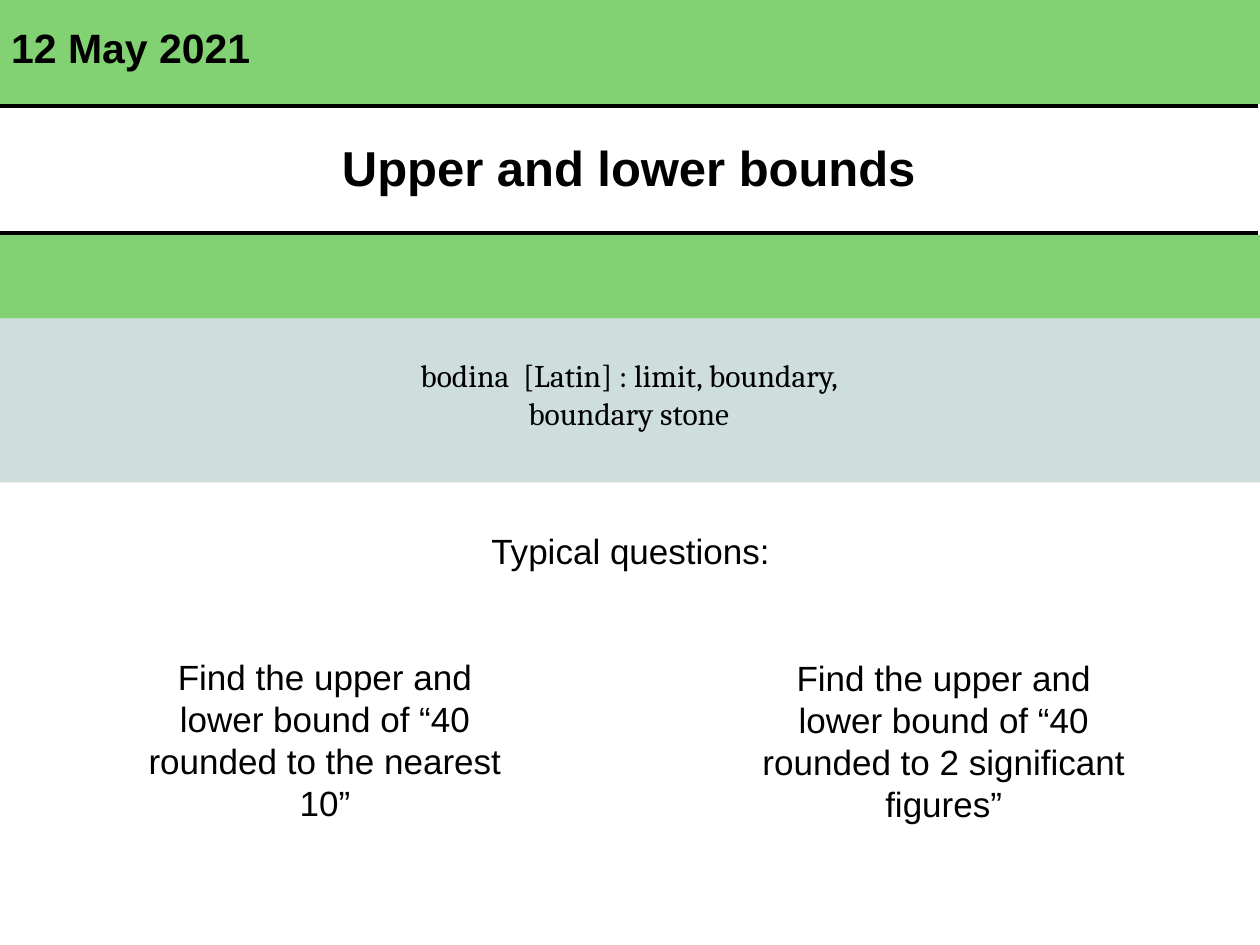
from dataclasses import dataclass
from typing import Optional

from lxml.etree import SubElement
from pptx import Presentation
from pptx.dml.color import RGBColor
from pptx.enum.shapes import MSO_SHAPE
from pptx.enum.text import MSO_ANCHOR as Anchor, PP_ALIGN as Align
from pptx.oxml.ns import qn
from pptx.util import Inches, Pt

GREEN = RGBColor(0x82, 0xD1, 0x73)
GREY_BLUE = RGBColor(0xCE, 0xDE, 0xDC)
WHITE = RGBColor(0xFF, 0xFF, 0xFF)
BLACK = RGBColor(0x00, 0x00, 0x00)


@dataclass
class Box:
    left: float
    top: float
    width: float
    height: float

    def lengths(self) -> list:
        return [Inches(n) for n in (self.left, self.top, self.width, self.height)]


@dataclass
class Label:
    text: str
    box: Box
    size: float = 20
    font: str = "Arial"
    bold: bool = False
    align: Align = Align.CENTER
    anchor: Anchor = Anchor.TOP
    fill: Optional[RGBColor] = None


BANDS = [
    (Box(-0.02, 0, 10.03, 2.53), GREEN),
    (Box(-0.01, 3.78, 10.02, 3.72), WHITE),
    (Box(-0.01, 2.53, 10.02, 1.3), GREY_BLUE),
]
TITLE = Label("Upper and lower bounds", Box(-0.01, 0.84, 10, 1.01), size=28,
              bold=True, anchor=Anchor.MIDDLE, fill=WHITE)
LABELS = [
    Label("12 May 2021", Box(-0.01, -0.01, 10, 0.77), size=23.4, bold=True,
          align=Align.LEFT, anchor=Anchor.MIDDLE),
    Label("bodina  [Latin] : limit, boundary, boundary stone",
          Box(3.02, 2.78, 3.94, 0.7), size=18, font="Cambria"),
    Label("Typical questions:", Box(0, 4.09, 10.01, 0.55), anchor=Anchor.MIDDLE),
    Label("Find the upper and lower bound of “40 rounded to the nearest 10”",
          Box(1.06, 5.15, 3.04, 1.45), fill=WHITE),
    Label("Find the upper and lower bound of “40 rounded to 2 significant figures”",
          Box(5.9, 5.16, 3.18, 1.45), fill=WHITE),
]


def add_rectangle(slide, box: Box, color: RGBColor):
    rectangle = slide.shapes.add_shape(MSO_SHAPE.RECTANGLE, *box.lengths())
    rectangle.shadow.inherit = False
    rectangle.fill.solid()
    rectangle.fill.fore_color.rgb = color
    rectangle.line.fill.background()
    return rectangle


def write_text(frame, label: Label) -> None:
    frame.word_wrap = True
    frame.vertical_anchor = label.anchor
    paragraph = frame.paragraphs[0]
    paragraph.text = label.text
    paragraph.alignment = label.align
    paragraph.font.name = label.font
    paragraph.font.size = Pt(label.size)
    paragraph.font.bold = label.bold
    paragraph.font.color.rgb = BLACK


def add_label(slide, label: Label) -> None:
    if label.fill is None:
        holder = slide.shapes.add_textbox(*label.box.lengths())
    else:
        holder = add_rectangle(slide, label.box, label.fill)
    write_text(holder.text_frame, label)


def add_cell_border(cell, side: str, color: RGBColor, width: float) -> None:
    line = SubElement(cell._tc.get_or_add_tcPr(), qn(f"a:ln{side}"), w=str(Pt(width)))
    SubElement(SubElement(line, qn("a:solidFill")), qn("a:srgbClr"), val=str(color))


def add_title_table(slide, title: Label) -> None:
    table = slide.shapes.add_table(1, 1, *title.box.lengths()).table
    table.first_row = False
    table.horz_banding = False
    cell = table.cell(0, 0)
    # Borders come before the fill in the cell's XML.
    for side, color, width in (("L", WHITE, 1), ("R", WHITE, 1),
                               ("T", BLACK, 2.25), ("B", BLACK, 2.25)):
        add_cell_border(cell, side, color, width)
    cell.fill.solid()
    cell.fill.fore_color.rgb = title.fill
    write_text(cell.text_frame, title)
    cell.vertical_anchor = title.anchor


def main() -> None:
    deck = Presentation()
    deck.slide_width = Inches(10)
    deck.slide_height = Inches(7.5)
    slide = deck.slides.add_slide(deck.slide_layouts.get_by_name("Blank"))
    for box, color in BANDS:
        add_rectangle(slide, box, color)
    add_title_table(slide, TITLE)
    for label in LABELS:
        add_label(slide, label)
    deck.save("out.pptx")


if __name__ == "__main__":
    main()
